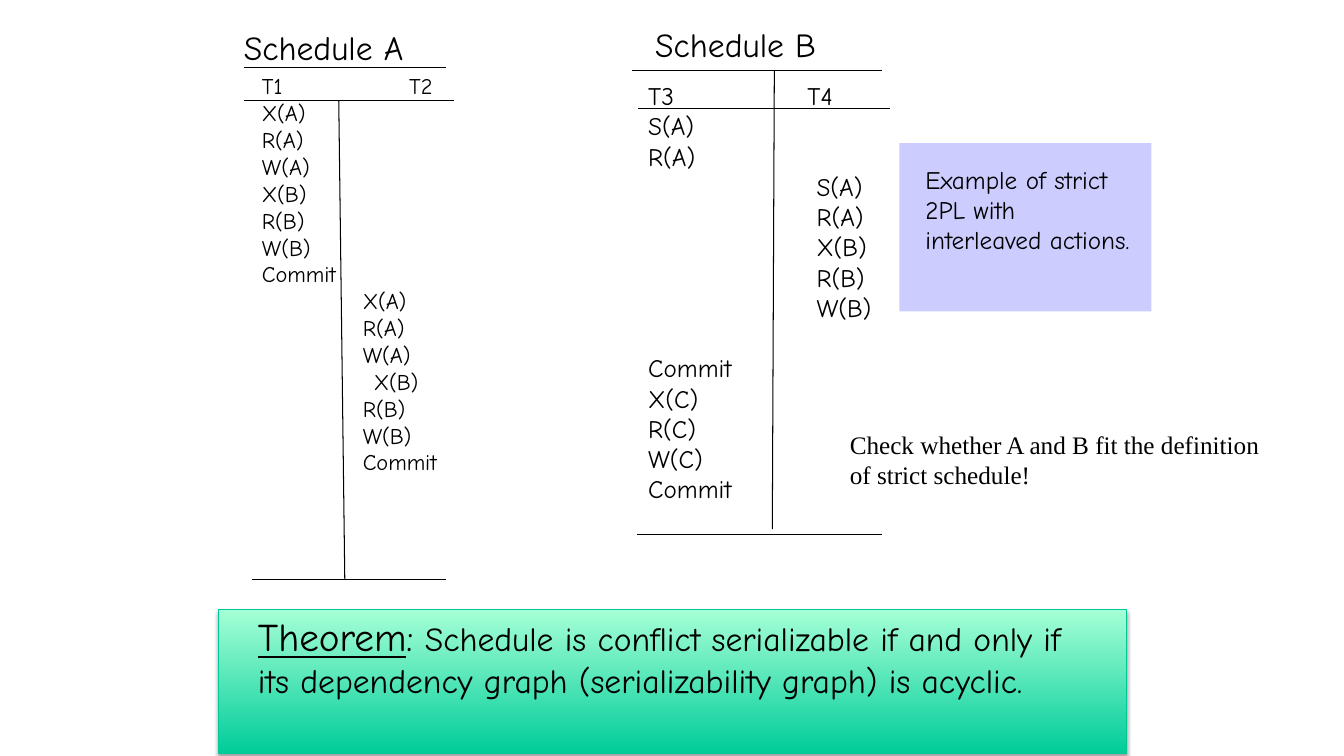
"""Build the slide that sets two lock schedules above the serializability theorem."""
from lxml.etree import SubElement
from pptx import Presentation
from pptx.dml.color import RGBColor
from pptx.enum.shapes import MSO_CONNECTOR, MSO_SHAPE
from pptx.oxml.ns import qn
from pptx.util import Inches, Pt

BLACK = RGBColor(0, 0, 0)
LILAC = RGBColor(0xCC, 0xCC, 0xFF)
GREEN = RGBColor(0x00, 0xCC, 0x99)
MINT = RGBColor(0xA5, 0xFF, 0xD6)
EDGE = RGBColor(0x00, 0xC8, 0x96)
COMIC, TIMES = "Comic Neue", "Times New Roman"

PLANS = [
    {"title": "Schedule A", "head": (2.32, 0.22, 2.1, 0.5),
     "body": (2.5, 0.67, 2.3, 4.14), "size": 16, "heads": ("T1", "T2", 1.46),
     "steps": [(0, "X(A) R(A) W(A) X(B) R(B) W(B) Commit"),
               (1, "X(A) R(A) W(A)"), (1.11, "X(B)"), (1, "R(B) W(B) Commit")],
     "gap": None,
     "rules": [(2.42, 1, 4.5, 1), (2.42, 0.67, 4.42, 0.67),
               (3.36, 1, 3.42, 5.75), (2.5, 5.75, 4.42, 5.75)]},
    {"title": "Schedule B", "head": (6.4, 0.19, 2.1, 0.5),
     "body": (6.33, 0.75, 2.68, 4.34), "size": 18, "heads": ("T3", "T4", 1.58),
     "steps": [(0, "S(A) R(A)"), (1.67, "S(A) R(A) X(B) R(B) W(B)"),
               (0, "Commit X(C) R(C) W(C) Commit")],
     "gap": 8,
     "rules": [(6.33, 1.08, 8.83, 1.08), (6.27, 0.7, 8.75, 0.7),
               (7.68, 0.7, 7.66, 5.25), (6.32, 5.3, 8.75, 5.3)]},
]
NOTES = [
    ((9.08, 1.58, 2.25, 1.3), COMIC,
     [("Example of strict 2PL with interleaved actions.", 18, False)]),
    ((2.46, 6.03, 8.42, 1.38), COMIC,
     [("Theorem", 28, True), (":", 28, False),
      (" Schedule is conflict serializable if and only if its dependency graph "
       "(serializability graph) is acyclic.", 24, False)]),
    ((8.33, 4.21, 4.3, 0.71), TIMES,
     [("Check whether A and B fit the definition of strict schedule!", 18, False)]),
]

deck = Presentation()
deck.slide_width, deck.slide_height = Inches(13.33), Inches(7.5)
slide = deck.slides.add_slide(deck.slide_layouts[6])


def add_panel(box):
    panel = slide.shapes.add_shape(MSO_SHAPE.RECTANGLE, *map(Inches, box))
    panel.shadow.inherit = False
    return panel


def add_frame(box):
    frame = slide.shapes.add_textbox(*map(Inches, box)).text_frame
    frame.word_wrap = True
    return frame


def add_run(para, text, size, face=COMIC, under=False):
    run = para.add_run()
    run.text = text
    look = {"name": face, "size": Pt(size), "underline": under}
    for key, value in look.items():
        setattr(run.font, key, value)
    run.font.color.rgb = BLACK


def add_rule(ends):
    rule = slide.shapes.add_connector(MSO_CONNECTOR.STRAIGHT, *map(Inches, ends))
    rule.line.color.rgb = BLACK
    rule.line.width = Pt(0.75)
    SubElement(rule.element.spPr, qn("a:effectLst"))


def set_tab(para, stop):
    tabs = SubElement(para._p.get_or_add_pPr(), qn("a:tabLst"))
    SubElement(tabs, qn("a:tab"), pos=str(Inches(stop)), algn="l")


def add_plan(plan):
    size = plan["size"]
    add_run(add_frame(plan["head"]).paragraphs[0], plan["title"], 24)
    left, right, stop = plan["heads"]
    rows = [(stop, f"{left}\t{right}")]
    for stop, steps in plan["steps"]:
        rows += [(stop, "\t" * bool(stop) + step) for step in steps.split()]
    frame = add_frame(plan["body"])
    for num, (stop, text) in enumerate(rows):
        para = frame.add_paragraph() if num else frame.paragraphs[0]
        if num == plan["gap"]:
            para.space_before = Pt(1.2 * size)
        if stop:
            set_tab(para, stop)
        add_run(para, text, size)
    for ends in plan["rules"]:
        add_rule(ends)


card = add_panel((8.92, 1.42, 2.5, 1.67))
card.fill.solid()
card.fill.fore_color.rgb = LILAC
card.line.fill.background()

band = add_panel((2.17, 6.05, 9, 1.43))
band.fill.gradient()
band.fill.gradient_angle = 90
for stop, tint in zip(band.fill.gradient_stops, (GREEN, MINT)):
    stop.color.rgb = tint
band.line.color.rgb = EDGE
band.line.width = Pt(0.75)
glow = SubElement(band.element.spPr.find(qn("a:effectLst")), qn("a:outerShdw"),
                  blurRad=str(Pt(3.1)), dist=str(Pt(1.8)), dir="5400000", rotWithShape="0")
shade = SubElement(glow, qn("a:srgbClr"), val=str(BLACK))
SubElement(shade, qn("a:alpha"), val="35000")

for plan in PLANS:
    add_plan(plan)
for box, face, runs in NOTES:
    para = add_frame(box).paragraphs[0]
    for text, size, under in runs:
        add_run(para, text, size, face, under)

deck.save("out.pptx")
